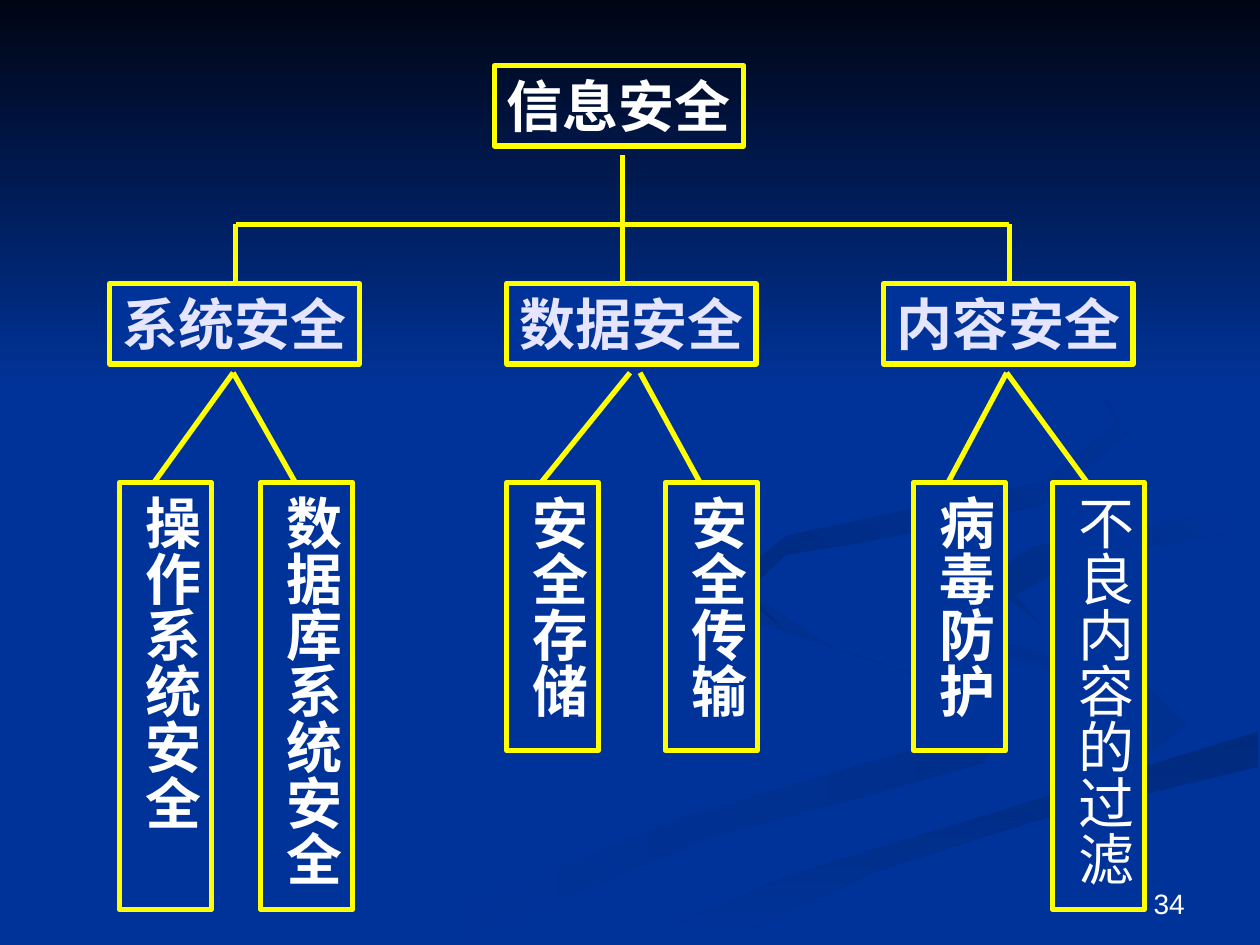
from pptx import Presentation
from pptx.dml.color import RGBColor
from pptx.enum.shapes import MSO_CONNECTOR, MSO_SHAPE
from pptx.enum.text import MSO_ANCHOR, PP_ALIGN
from pptx.oxml.ns import qn
from pptx.util import Pt
from lxml import etree

RECT = MSO_SHAPE.RECTANGLE
LINE = MSO_CONNECTOR.STRAIGHT
TOP, BOTTOM = MSO_ANCHOR.TOP, MSO_ANCHOR.BOTTOM
CENTER, RIGHT = PP_ALIGN.CENTER, PP_ALIGN.RIGHT
BLUE, YELLOW, WHITE, PALE = "003399", "FFFF00", "FFFFFF", "E5E5FF"


def color(code):
    return RGBColor.from_string(code)


def write(shape, text, size, bold, ink, align, anchor):
    frame = shape.text_frame
    frame.vertical_anchor = anchor
    para = frame.paragraphs[0]
    para.alignment = align
    run = para.add_run()
    run.text = text
    run.font.name = "Arial"
    run.font.size = Pt(size)
    run.font.bold = bold
    run.font.color.rgb = color(ink)
    return frame


deck = Presentation()
deck.slide_width, deck.slide_height = Pt(720), Pt(540)
slide = deck.slides.add_slide(deck.slide_layouts[6])
slide.background.fill.solid()
slide.background.fill.fore_color.rgb = color(BLUE)
shapes = slide.shapes

swirls = [
    (BLUE, "002E8B", 0, [
        (562, 398), (476, 370), (414, 330), (427, 354), (549, 394), (562, 417),
        (388, 467), (216, 539), (260, 539), (406, 479), (562, 436), (575, 413)]),
    (BLUE, "002E8B", 45, [
        (679, 411), (652, 389), (546, 359), (521, 334), (544, 364), (634, 395),
        (660, 418), (644, 436), (671, 424)]),
    ("002A7D", BLUE, 270, [
        (362, 539), (411, 539), (500, 498), (591, 469), (719, 438), (719, 418),
        (574, 459), (454, 499)]),
    (BLUE, BLUE, 0, [
        (522, 334), (546, 359), (652, 389), (679, 414), (656, 432), (507, 472),
        (343, 539), (454, 499), (719, 418), (719, 387), (611, 362), (562, 331),
        (601, 310), (719, 289), (719, 279), (567, 303)]),
    ("002D86", BLUE, 45, [
        (562, 331), (595, 357), (580, 340), (618, 319), (719, 302), (719, 289),
        (591, 312)]),
    ("002B82", BLUE, 45, [
        (492, 310), (594, 289), (644, 248), (622, 210), (549, 168), (616, 205),
        (639, 241), (597, 275), (450, 306), (415, 333), (448, 360), (427, 338),
        (449, 317)]),
    ("000514", BLUE, 270, [(0, 0), (0, 222), (720, 222), (720, 0)]),
]
for start, end, angle, points in swirls:
    pen = shapes.build_freeform(*points[0], scale=Pt(1))
    pen.add_line_segments(points[1:], close=True)
    swirl = pen.convert_to_shape()
    swirl.shadow.inherit = False
    swirl.line.fill.background()
    if start == end:
        swirl.fill.solid()
        swirl.fill.fore_color.rgb = color(start)
    else:
        swirl.fill.gradient()
        swirl.fill.gradient_angle = angle
        for stop, shade in zip(swirl.fill.gradient_stops, (start, end)):
            stop.color.rgb = color(shade)

number = shapes.add_textbox(Pt(516), Pt(492), Pt(168), Pt(37.25))
write(number, "34", 16, False, WHITE, RIGHT, BOTTOM).word_wrap = True

wide, tall, slim = 142.5, 46, 52.5
bar, row, fork, base = 128.25, 162, 213, 275.75
groups = [
    ("系统安全", 62.75, 134.75, 133.25, 133.25,
     [("操作系统安全", 68.25, 244), ("数据库系统安全", 149, 244)]),
    ("数据安全", 289.5, 355.75, 360, 365.75,
     [("安全存储", 289.5, 153), ("安全传输", 380.25, 153)]),
    ("内容安全", 505, 576.75, 575.25, 575.25,
     [("病毒防护", 522, 153), ("不良内容的过滤", 601.5, 244)]),
]
stems = [group[2] for group in groups]
lines = [(stems[1], 88.5, stems[1], bar), (stems[0], bar, stems[2], bar)]
boxes = [("信息安全", 282.5, 37.5, wide, tall, WHITE)]
for name, x, stem, left, right, leaves in groups:
    lines.append((stem, bar, stem, row))
    boxes.append((name, x, row, wide, tall, PALE))
    for tip, (leaf, edge, deep) in zip((left, right), leaves):
        lines.append((tip, fork, edge + slim / 2 - 6.5, base))
        boxes.append((leaf, edge, base, slim, deep, WHITE))

for x1, y1, x2, y2 in lines:
    link = shapes.add_connector(LINE, Pt(x1), Pt(y1), Pt(x2), Pt(y2))
    link.line.color.rgb = color(YELLOW)
    link.line.width = Pt(3)
    etree.SubElement(link._element.spPr, qn("a:effectLst"))

for text, x, y, width, height, ink in boxes:
    box = shapes.add_shape(RECT, Pt(x), Pt(y), Pt(width), Pt(height))
    box.shadow.inherit = False
    box.line.color.rgb = color(YELLOW)
    box.line.width = Pt(3)
    if y < row:
        box.fill.background()
    else:
        box.fill.solid()
        box.fill.fore_color.rgb = color(BLUE)
    frame = write(box, text, 32, text != "不良内容的过滤", ink, CENTER, TOP)
    upright = height > width
    frame.word_wrap = upright
    if upright:
        frame._txBody.bodyPr.set("vert", "eaVert")
        frame.margin_left = frame.margin_right = Pt(3.6)
        frame.margin_top = frame.margin_bottom = Pt(7.2)

deck.save("out.pptx")
